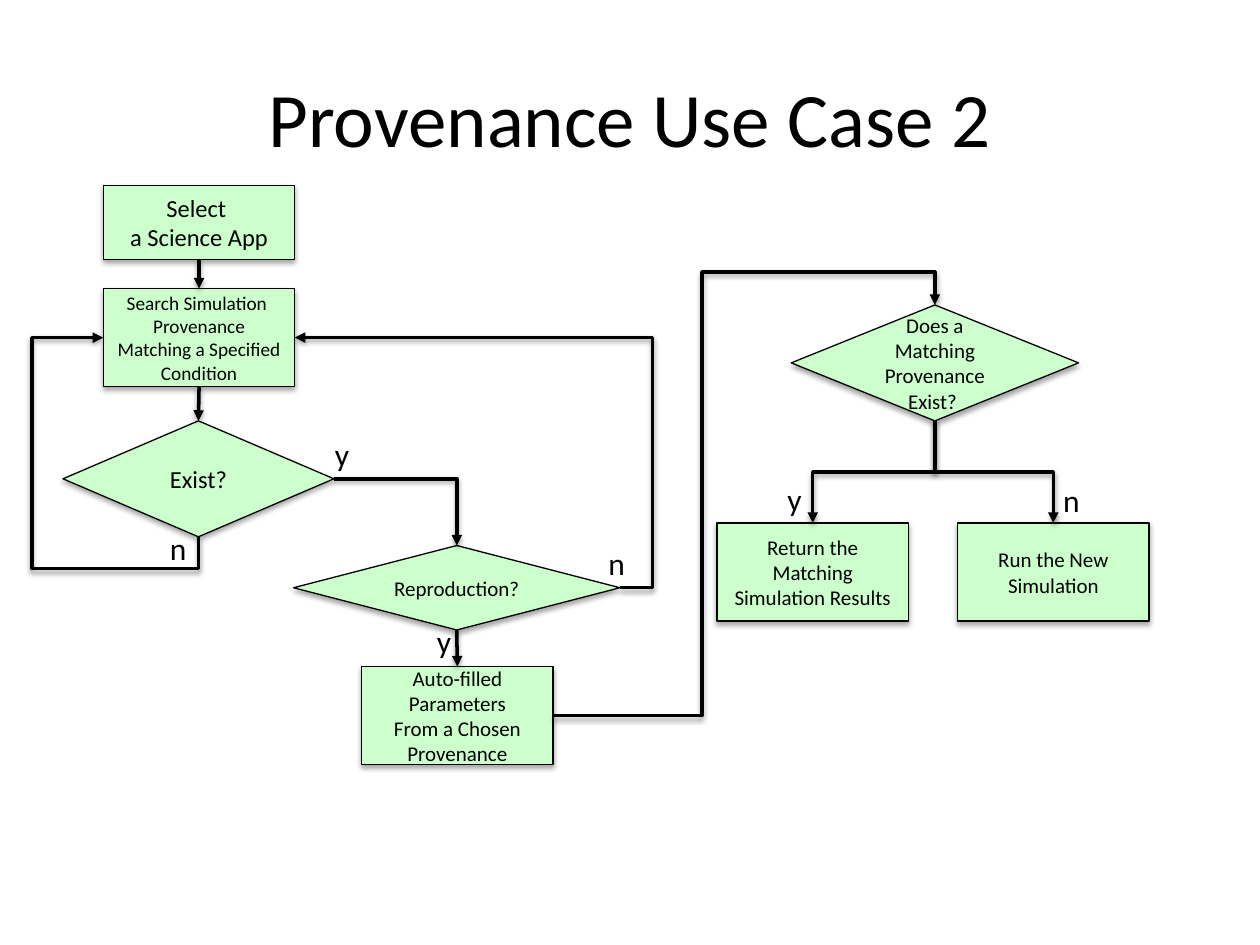
"""Build the flowchart slide for the second provenance use case."""

from lxml.etree import SubElement
from pptx import Presentation
from pptx.dml.color import RGBColor
from pptx.enum.shapes import MSO_CONNECTOR as CONNECTOR, MSO_SHAPE as SHAPE
from pptx.enum.text import MSO_ANCHOR as ANCHOR, MSO_AUTO_SIZE as AUTO_SIZE, PP_ALIGN as ALIGN
from pptx.oxml.ns import qn
from pptx.util import Inches, Pt

BLACK = RGBColor(0x00, 0x00, 0x00)
GREEN = RGBColor(0xCC, 0xFF, 0xCC)
FONT = "Calibri"
TOP, LEFT, BOTTOM, RIGHT = range(4)
BOX_WIDTH = 1.52
BOX_HEIGHT = 0.78

STEPS = {
    "select": (SHAPE.RECTANGLE, 0.82, 1.47, BOX_WIDTH, 0.59, "Select \na Science App", 14),
    "search": (SHAPE.RECTANGLE, 0.82, 2.29, BOX_WIDTH, BOX_HEIGHT,
               "Search Simulation \nProvenance Matching a Specified Condition", 11),
    "exist": (SHAPE.DIAMOND, 0.5, 3.34, 2.15, 0.92, "Exist?", 14),
    "reproduction": (SHAPE.DIAMOND, 2.33, 4.33, 2.59, 0.67, "Reproduction?", 12),
    "autofill": (SHAPE.RECTANGLE, 2.87, 5.29, BOX_WIDTH, BOX_HEIGHT,
                 "Auto-filled Parameters\nFrom a Chosen Provenance", 12),
    "matching": (SHAPE.DIAMOND, 6.28, 2.42, 2.28, 0.92,
                 "Does a Matching Provenance\nExist? ", 12),
    "return": (SHAPE.RECTANGLE, 5.69, 4.15, BOX_WIDTH, BOX_HEIGHT,
               "Return the Matching Simulation Results", 12),
    "run": (SHAPE.RECTANGLE, 7.6, 4.15, BOX_WIDTH, BOX_HEIGHT, "Run the New Simulation", 12),
}

STRAIGHT_ARROWS = [("select", "search"), ("search", "exist"), ("reproduction", "autofill")]

BENT_ARROWS = [
    ("exist", BOTTOM, "search", LEFT, "bentConnector4", 90, "h", (-0.16, 1.75)),
    ("exist", RIGHT, "reproduction", TOP, "bentConnector2", 0, "", ()),
    ("reproduction", RIGHT, "search", RIGHT, "bentConnector3", 0, "hv", (-0.1,)),
    ("autofill", RIGHT, "matching", TOP, "bentConnector4", 0, "v", (0.39, 1.08)),
    ("matching", BOTTOM, "return", TOP, "bentConnector3", 90, "", (0.5,)),
    ("matching", BOTTOM, "run", TOP, "bentConnector3", 270, "h", (0.5,)),
]

LABELS = [("y", 2.56, 3.4), ("n", 1.25, 4.15), ("n", 8.34, 3.77),
          ("y", 6.15, 3.76), ("y", 3.37, 4.89), ("n", 4.73, 4.27)]


def write_text(shape, text, size):
    """Fill a shape with centred black text."""
    shape.text_frame.text = text
    for paragraph in shape.text_frame.paragraphs:
        paragraph.alignment = ALIGN.CENTER
        for run in paragraph.runs:
            run.font.name = FONT
            run.font.size = Pt(size)
            run.font.color.rgb = BLACK


def add_shadow(effects, distance, opacity):
    """Put a soft downward shadow into an effect list."""
    shadow = SubElement(effects, qn("a:outerShdw"), blurRad=str(Pt(3.1)), dist=str(Pt(distance)),
                        dir="5400000", rotWithShape="0")
    color = SubElement(shadow, qn("a:srgbClr"), val=str(BLACK))
    SubElement(color, qn("a:alpha"), val=str(opacity * 1000))


def add_title(slide, text):
    """Place and format the slide title."""
    title = slide.shapes.title
    title.left, title.top = Inches(0.5), Inches(0.3)
    title.width, title.height = Inches(9), Inches(1.25)
    title.text_frame.vertical_anchor = ANCHOR.MIDDLE
    write_text(title, text, 44)


def add_step(slide, kind, left, top, width, height, text, size):
    """Add one green flowchart step."""
    shape = slide.shapes.add_shape(kind, Inches(left), Inches(top), Inches(width), Inches(height))
    shape.fill.solid()
    shape.fill.fore_color.rgb = GREEN
    shape.line.color.rgb = BLACK
    shape.line.width = Pt(0.75)
    shape.shadow.inherit = False
    add_shadow(shape.element.spPr.find(qn("a:effectLst")), 1.8, 35)
    shape.text_frame.word_wrap = True
    shape.text_frame.vertical_anchor = ANCHOR.MIDDLE
    write_text(shape, text, size)
    return shape


def add_label(slide, text, left, top):
    """Add a branch label."""
    label = slide.shapes.add_textbox(Inches(left), Inches(top), Inches(0.26), Inches(0.4))
    label.text_frame.word_wrap = False
    label.text_frame.auto_size = AUTO_SIZE.SHAPE_TO_FIT_TEXT
    write_text(label, text, 18)


def add_arrow(slide, kind, start, start_site, end, end_site):
    """Add an arrow glued to two steps."""
    connector = slide.shapes.add_connector(kind, 0, 0, 0, 0)
    connector.begin_connect(start, start_site)
    connector.end_connect(end, end_site)
    connector.line.color.rgb = BLACK
    connector.line.width = Pt(2)
    properties = connector.element.spPr
    SubElement(properties.find(qn("a:ln")), qn("a:tailEnd"), type="triangle")
    add_shadow(SubElement(properties, qn("a:effectLst")), 1.6, 38)
    return connector


def bend(connector, preset, rotation, flips, adjustments):
    """Route an elbow arrow by its preset, rotation, flips and adjustments."""
    width = abs(connector.end_x - connector.begin_x)
    height = abs(connector.end_y - connector.begin_y)
    center_x = (connector.begin_x + connector.end_x) // 2
    center_y = (connector.begin_y + connector.end_y) // 2
    if rotation % 180:
        width, height = height, width
    connector.left, connector.top = center_x - width // 2, center_y - height // 2
    connector.width, connector.height = width, height

    transform = connector.element.spPr.find(qn("a:xfrm"))
    transform.set("rot", str(rotation * 60000))
    transform.set("flipH", str(int("h" in flips)))
    transform.set("flipV", str(int("v" in flips)))

    geometry = connector.element.spPr.find(qn("a:prstGeom"))
    geometry.set("prst", preset)
    guides = geometry.find(qn("a:avLst"))
    for number, value in enumerate(adjustments, 1):
        SubElement(guides, qn("a:gd"), name=f"adj{number}", fmla=f"val {round(value * 100000)}")


def main():
    """Build and save the slide."""
    presentation = Presentation()
    presentation.slide_width, presentation.slide_height = Inches(10), Inches(7.5)
    slide = presentation.slides.add_slide(presentation.slide_layouts[5])
    add_title(slide, "Provenance Use Case 2")
    steps = {name: add_step(slide, *step) for name, step in STEPS.items()}
    for start, end in STRAIGHT_ARROWS:
        add_arrow(slide, CONNECTOR.STRAIGHT, steps[start], BOTTOM, steps[end], TOP)
    for start, start_site, end, end_site, *route in BENT_ARROWS:
        arrow = add_arrow(slide, CONNECTOR.ELBOW, steps[start], start_site, steps[end], end_site)
        bend(arrow, *route)
    for label in LABELS:
        add_label(slide, *label)
    presentation.save("out.pptx")


if __name__ == "__main__":
    main()
